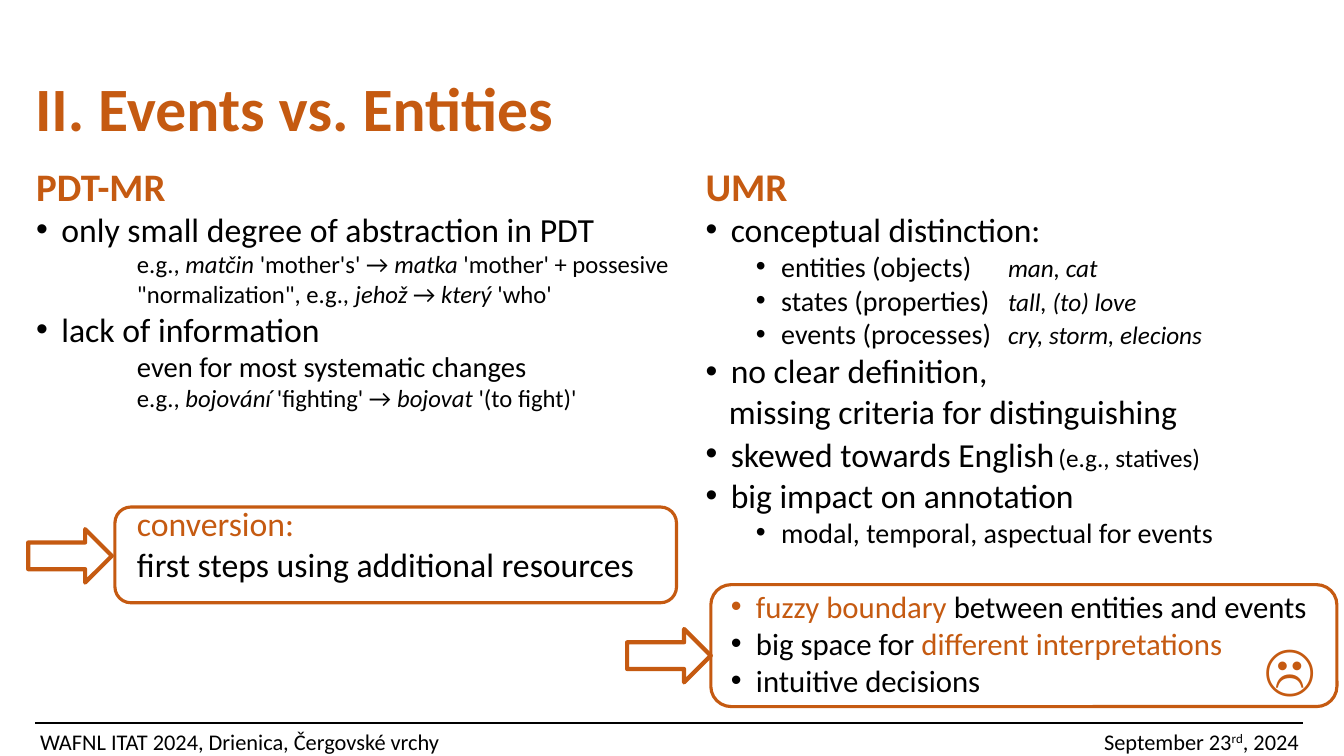
"""Build the slide comparing events and entities in PDT-MR and UMR."""
from dataclasses import dataclass
from typing import Any, NamedTuple

from lxml import etree
from pptx import Presentation
from pptx import util as u
from pptx.dml.color import RGBColor
from pptx.enum import shapes, text
from pptx.oxml import ns

ORANGE = RGBColor(0xC5, 0x5A, 0x11)
BLACK = RGBColor(0, 0, 0)
FONT = "Calibri"


class Run(NamedTuple):
    words: str
    size: float
    color: RGBColor = BLACK
    bold: bool = False
    italic: bool = False
    raised: bool = False


@dataclass
class Line:
    runs: list[Run]
    indent: float = 0
    bullet: bool = False
    align: Any = text.PP_ALIGN.LEFT


@dataclass
class Block:
    left: float
    top: float
    width: float
    height: float
    lines: list[Line]
    anchor: Any = text.MSO_ANCHOR.TOP
    wrap: bool = True


@dataclass
class Outline:
    kind: Any
    left: float
    top: float
    width: float
    height: float
    weight: float


def plain(words: str, size: float, indent: float = 0, color: RGBColor = BLACK) -> Line:
    return Line([Run(words, size, color)], indent)


def point(words: str, size: float = 24, indent: float = 0.25) -> Line:
    return Line([Run(words, size)], indent, True)


def heading(words: str, size: float) -> Line:
    return Line([Run(words, size, ORANGE, bold=True)])


def example(*parts: str) -> Line:
    return Line([Run(part, 17.6, italic=i % 2 == 1) for i, part in enumerate(parts)], 1)


def category(label: str, samples: str) -> Line:
    return Line([Run(label + "\t", 20), Run(samples, 18, italic=True)], 0.75, True)


def conclusion(*parts: tuple[str, RGBColor]) -> Line:
    return Line([Run(words, 22, color) for words, color in parts], 0.5, True)


def draw_line(paragraph: Any, line: Line) -> None:
    paragraph.alignment = line.align
    properties = paragraph._p.get_or_add_pPr()
    properties.set("marL", str(u.Inches(line.indent)))
    properties.set("indent", str(u.Inches(-0.25 if line.bullet else 0)))
    if line.bullet:
        etree.SubElement(properties, ns.qn("a:buFont")).set("typeface", "Arial")
        etree.SubElement(properties, ns.qn("a:buChar")).set("char", "•")
    for part in line.runs:
        run = paragraph.add_run()
        run.text = part.words
        formats = {"name": FONT, "size": u.Pt(part.size), "bold": part.bold, "italic": part.italic}
        for key, value in formats.items():
            setattr(run.font, key, value)
        run.font.color.rgb = part.color
        if part.raised:
            run._r.get_or_add_rPr().set("baseline", "30000")


def draw_block(slide: Any, block: Block) -> None:
    place = map(u.Inches, (block.left, block.top, block.width, block.height))
    frame = slide.shapes.add_textbox(*place).text_frame
    formats = {"word_wrap": block.wrap, "vertical_anchor": block.anchor}
    for key, value in formats.items():
        setattr(frame, key, value)
    for number, line in enumerate(block.lines):
        draw_line(frame.add_paragraph() if number else frame.paragraphs[0], line)


def draw_outline(slide: Any, outline: Outline) -> None:
    place = map(u.Inches, (outline.left, outline.top, outline.width, outline.height))
    shape = slide.shapes.add_shape(outline.kind, *place)
    shape.shadow.inherit = False
    shape.fill.background()
    shape.line.color.rgb = ORANGE
    shape.line.width = u.Pt(outline.weight)


def draw_rule(slide: Any, left: float, right: float, top: float) -> None:
    ends = map(u.Inches, (left, top, right, top))
    rule = slide.shapes.add_connector(shapes.MSO_CONNECTOR.STRAIGHT, *ends)
    rule.line.color.rgb = BLACK
    rule.line.width = u.Pt(1.5)
    etree.SubElement(rule._element.spPr, ns.qn("a:effectLst"))


PDT = [
    heading("PDT-MR", 27.8),
    point("only small degree of abstraction in PDT", 24.1),
    example("e.g., ", "matčin", " 'mother's' → ", "matka", " 'mother' + possesive"),
    example("\"normalization\", e.g., ", "jehož", " → ", "který", " 'who'"),
    point("lack of information", 24.1),
    plain("even for most systematic changes", 20.4, 1),
    example("e.g., ", "bojování", " 'fighting' → ", "bojovat", " '(to fight)'"),
]
CONVERSION = [
    plain("conversion:", 24.1, color=ORANGE),
    plain("first steps using additional resources", 24.1),
]
UMR = [
    heading("UMR", 28),
    point("conceptual distinction:"),
    category("entities (objects)", "man, cat"),
    category("states (properties)", "tall, (to) love"),
    category("events (processes)", "cry, storm, elecions"),
    point("no clear definition,"),
    plain("missing criteria for distinguishing", 24, 0.23),
    Line([Run("skewed towards English", 24), Run("\t", 26), Run("(e.g., statives)", 18)], 0.25, True),
    point("big impact on annotation"),
    point("modal, temporal, aspectual for events", 20, 0.75),
]
CONCLUSIONS = [
    conclusion(("fuzzy boundary ", ORANGE), ("between entities and events", BLACK)),
    conclusion(("big space for ", BLACK), ("different interpretations", ORANGE)),
    conclusion(("intuitive decisions", BLACK)),
]
DATE = Line(
    [Run("September 23", 16), Run("rd", 16, raised=True), Run(", 2024", 16)],
    align=text.PP_ALIGN.RIGHT,
)
BLOCKS = [
    Block(0.3, 7.17, 6, 0.37, [plain("WAFNL ITAT 2024, Drienica, Čergovské vrchy", 16)]),
    Block(8.98, 7.17, 4, 0.37, [DATE]),
    Block(0.25, 0.33, 12.83, 1.45, [heading("II. Events vs. Entities", 44)], text.MSO_ANCHOR.MIDDLE),
    Block(0.26, 1.56, 6.81, 3.2, PDT),
    Block(1.26, 4.94, 5.45, 0.95, CONVERSION),
    Block(6.9, 1.56, 6.43, 4.1, UMR),
    Block(6.9, 5.78, 6.43, 1.3, CONCLUSIONS),
    Block(12.44, 6.24, 0.67, 0.77, [heading("☹", 40)], wrap=False),
]
ARROW = shapes.MSO_SHAPE.RIGHT_ARROW
FRAME = shapes.MSO_SHAPE.ROUNDED_RECTANGLE
OUTLINES = [
    Outline(ARROW, 0.28, 5.25, 0.83, 0.53, 3),
    Outline(FRAME, 1.14, 5.03, 5.57, 0.95, 2.25),
    Outline(ARROW, 6.22, 6.24, 0.83, 0.53, 3),
    Outline(FRAME, 7.05, 5.8, 6.21, 1.21, 2.25),
]


def main() -> None:
    deck = Presentation()
    deck.slide_width, deck.slide_height = u.Inches(13.33), u.Inches(7.5)
    slide = deck.slides.add_slide(deck.slide_layouts[6])
    draw_rule(slide, 0.35, 12.92, 7.17)
    for outline in OUTLINES:
        draw_outline(slide, outline)
    for block in BLOCKS:
        draw_block(slide, block)
    deck.save("out.pptx")


if __name__ == "__main__":
    main()
